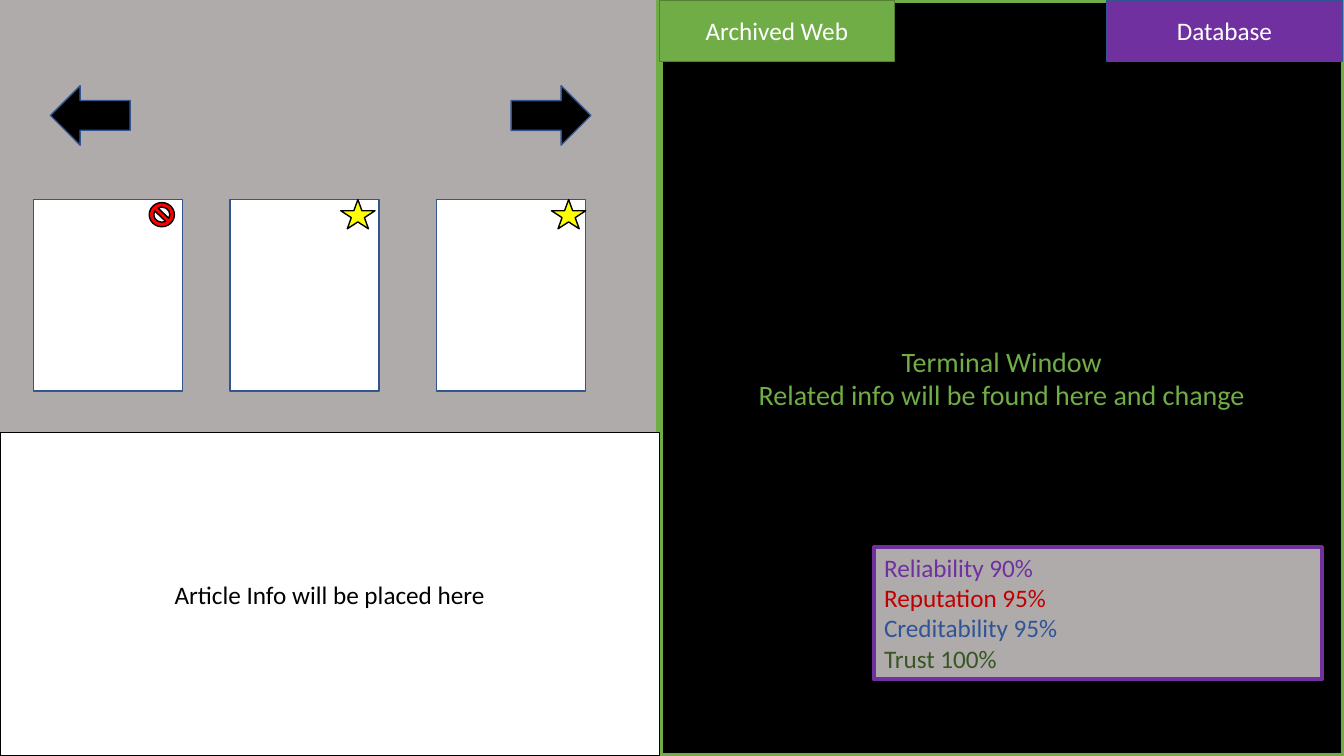
"""Build a wireframe slide: article browser on the left, terminal window on the right."""
from pptx import Presentation
from pptx.dml.color import RGBColor
from pptx.enum.shapes import MSO_SHAPE as Shape
from pptx.enum.text import MSO_ANCHOR as Anchor, PP_ALIGN as Align
from pptx.util import Inches, Pt

GREY, BLACK, WHITE = "AFABAB", "000000", "FFFFFF"
BLUE, GREEN, PURPLE = "325491", "70AD47", "7030A0"


def color(hex_code):
    return RGBColor.from_string(hex_code)


def add_part(kind, box, fill, outline, width=1, lines=(), size=18,
             align=Align.CENTER, anchor=Anchor.MIDDLE):
    part = slide.shapes.add_shape(kind, *map(Inches, box))
    part.shadow.inherit = False
    part.fill.solid()
    part.fill.fore_color.rgb = color(fill)
    part.line.color.rgb = color(outline)
    part.line.width = Pt(width)
    frame = part.text_frame
    frame.word_wrap = True
    frame.vertical_anchor = anchor
    for index, (text, text_color) in enumerate(lines):
        paragraph = frame.add_paragraph() if index else frame.paragraphs[0]
        paragraph.text = text
        paragraph.alignment = align
        paragraph.font.name = "Calibri"
        paragraph.font.size = Pt(size)
        paragraph.font.color.rgb = color(text_color)
    return part


prs = Presentation()
prs.slide_width, prs.slide_height = Inches(13.33), Inches(7.5)
slide = prs.slides.add_slide(prs.slide_layouts[6])
slide.background.fill.solid()
slide.background.fill.fore_color.rgb = color(GREY)

for card_left in (0.33, 2.28, 4.33):
    add_part(Shape.RECTANGLE, (card_left, 1.98, 1.48, 1.9), WHITE, BLUE)

add_part(Shape.RECTANGLE, (6.54, 0, 6.79, 7.5), BLACK, GREEN, 4.5,
         [("Terminal Window", GREEN),
          ("Related info will be found here and change", GREEN)], size=20)

for label, tab_left, tab_fill, tab_outline in (
        ("Database", 10.98, PURPLE, BLUE),
        ("Archived Web", 6.54, GREEN, "538035")):
    tab = add_part(Shape.ROUND_1_RECTANGLE, (tab_left, 0, 2.33, 0.61),
                   tab_fill, tab_outline, lines=[(label, WHITE)])
    tab.adjustments[0] = 0

for star_left in (3.38, 5.47):
    add_part(Shape.STAR_5_POINT, (star_left, 1.98, 0.34, 0.29), "FFFF00", BLACK)
add_part(Shape.NO_SYMBOL, (1.48, 2.01, 0.25, 0.24), "FF0000", BLACK)

add_part(Shape.RECTANGLE, (0, 4.29, 6.54, 3.21), WHITE, BLACK,
         lines=[("Article Info will be placed here", BLACK)])

for arrow_left, turn in ((0.5, 0), (5.07, 180)):
    arrow = add_part(Shape.LEFT_ARROW, (arrow_left, 0.85, 0.79, 0.59), BLACK, BLUE)
    arrow.rotation = turn

ratings = [("Reliability 90%", PURPLE), ("Reputation 95%", "C00000"),
           ("Creditability 95%", "2F5597"), ("Trust 100%", "385723")]
add_part(Shape.RECTANGLE, (8.67, 5.43, 4.44, 1.31), GREY, PURPLE, 3, ratings,
         align=Align.LEFT, anchor=Anchor.TOP)

prs.save("out.pptx")
